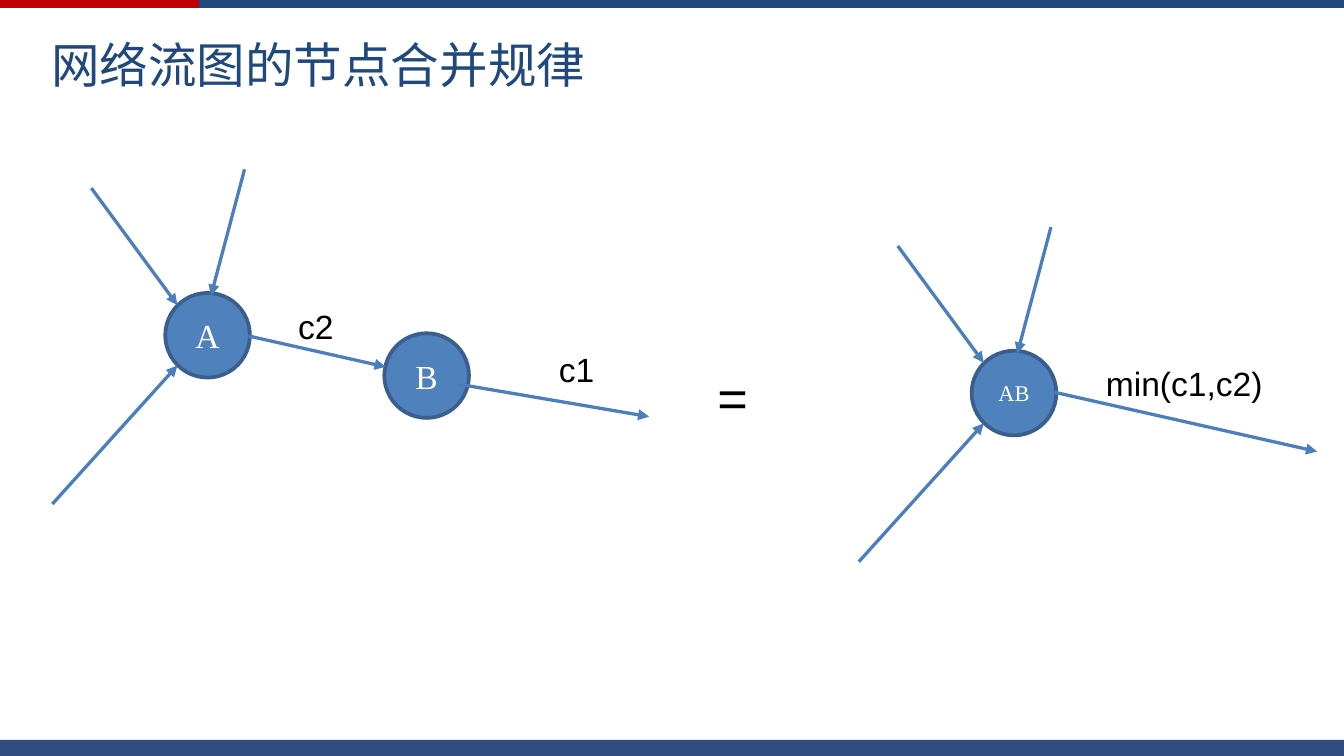
from lxml import etree
from pptx import Presentation
from pptx.dml.color import RGBColor
from pptx.enum.shapes import MSO_CONNECTOR, MSO_SHAPE
from pptx.enum.text import MSO_ANCHOR, MSO_AUTO_SIZE, PP_ALIGN
from pptx.oxml.ns import qn
from pptx.util import Inches, Pt

RED = RGBColor(0xC0, 0x00, 0x00)
TITLE_BLUE = RGBColor(0x1F, 0x49, 0x7D)
FOOTER_BLUE = RGBColor(0x00, 0x20, 0x60)
NODE_FILL = RGBColor(0x4F, 0x81, 0xBD)
NODE_LINE = RGBColor(0x3A, 0x5F, 0x8C)
ARROW_BLUE = RGBColor(0x4B, 0x7E, 0xBC)
WHITE = RGBColor(0xFF, 0xFF, 0xFF)
BLACK = RGBColor(0x00, 0x00, 0x00)

PAGE_WIDTH = 10
PAGE_HEIGHT = PAGE_WIDTH * 9 / 16
NODE_SIZE = 0.63
INCOMING = [
    ((0.59, -0.92), (0.34, 0.02)),
    ((-0.84, 1.57), (0.09, 0.54)),
    ((-0.55, -0.78), (0.09, 0.09)),
]


def set_font(para, name, size, color):
    """Give a paragraph its typeface, size and colour."""
    para.font.name = name
    para.font.size = Pt(size)
    para.font.color.rgb = color


def add_bar(page, left, top, width, height, color):
    """Draw a plain borderless bar."""
    bar = page.shapes.add_shape(
        MSO_SHAPE.RECTANGLE, Inches(left), Inches(top), Inches(width), Inches(height))
    bar.shadow.inherit = False
    bar.fill.solid()
    bar.fill.fore_color.rgb = color
    bar.line.fill.background()
    return bar


def add_frame(page, left, top, width, height):
    """Place the two-colour top band and the translucent footer band in a box."""
    band, split, base = 0.06, 1.48, 0.12
    add_bar(page, left, top, split, band, RED)
    add_bar(page, left + split, top, width - split, band, TITLE_BLUE)
    footer = add_bar(page, left, top + height - base, width, base, FOOTER_BLUE)
    color = footer._element.spPr.find(qn("a:solidFill"))[0]
    etree.SubElement(color, qn("a:alpha"), val="80000")


def add_title(page, left, top, width, height, text):
    """Fill and format the title placeholder."""
    title = page.shapes.title
    title.left, title.top = Inches(left), Inches(top)
    title.width, title.height = Inches(width), Inches(height)
    frame = title.text_frame
    frame.text = text
    frame.auto_size = MSO_AUTO_SIZE.NONE
    frame.vertical_anchor = MSO_ANCHOR.TOP
    para = frame.paragraphs[0]
    para.alignment = PP_ALIGN.LEFT
    set_font(para, "Noto Sans CJK SC", 26, TITLE_BLUE)
    etree.SubElement(para.font._element, qn("a:ea"), typeface="Noto Sans CJK SC")


def add_node(page, left, top, text, size=18):
    """Draw a labelled circular node."""
    node = page.shapes.add_shape(
        MSO_SHAPE.OVAL, Inches(left), Inches(top), Inches(NODE_SIZE), Inches(NODE_SIZE))
    node.shadow.inherit = False
    node.fill.solid()
    node.fill.fore_color.rgb = NODE_FILL
    node.line.color.rgb = NODE_LINE
    node.line.width = Pt(2)
    frame = node.text_frame
    frame.text = text
    frame.word_wrap = False
    frame.vertical_anchor = MSO_ANCHOR.MIDDLE
    para = frame.paragraphs[0]
    para.alignment = PP_ALIGN.CENTER
    set_font(para, "Times New Roman", size, WHITE)


def add_arrow(page, left, top, start, end):
    """Draw an arrow between two points given relative to a corner."""
    arrow = page.shapes.add_connector(
        MSO_CONNECTOR.STRAIGHT,
        Inches(left + start[0]), Inches(top + start[1]),
        Inches(left + end[0]), Inches(top + end[1]))
    arrow.line.color.rgb = ARROW_BLUE
    arrow.line.width = Pt(1.75)
    etree.SubElement(arrow.line._get_or_add_ln(), qn("a:tailEnd"), type="triangle")
    etree.SubElement(arrow._element.spPr, qn("a:effectLst"))


def add_label(page, left, top, width, height, text, size=18):
    """Write a one-line label."""
    box = page.shapes.add_textbox(Inches(left), Inches(top), Inches(width), Inches(height))
    box.text_frame.word_wrap = False
    box.text_frame.text = text
    set_font(box.text_frame.paragraphs[0], "Arial", size, BLACK)


def add_entry_node(page, left, top, text, size=18):
    """Draw a node together with its three incoming arrows."""
    add_node(page, left, top, text, size)
    for start, end in INCOMING:
        add_arrow(page, left, top, start, end)


def add_split_graph(page, left, top):
    """Draw the chain A to B, placed by the corner of node A."""
    add_entry_node(page, left, top, "A")
    add_node(page, left + 1.63, top + 0.3, "B")
    add_arrow(page, left, top, (0.62, 0.32), (1.64, 0.55))
    add_arrow(page, left, top, (2.19, 0.68), (3.6, 0.92))
    add_label(page, left + 0.89, top + 0.05, 0.47, 0.4, "c2")
    add_label(page, left + 2.83, top + 0.37, 0.47, 0.4, "c1")


def add_merged_graph(page, left, top):
    """Draw the merged node AB, placed by its corner."""
    add_entry_node(page, left, top, "AB", 12)
    add_arrow(page, left, top, (0.62, 0.31), (2.57, 0.75))
    add_label(page, left + 0.9, top + 0.04, 1.38, 0.4, "min(c1,c2)")


def main():
    """Build and save the slide."""
    deck = Presentation()
    deck.slide_width, deck.slide_height = Inches(PAGE_WIDTH), Inches(PAGE_HEIGHT)
    page = deck.slides.add_slide(deck.slide_layouts[5])
    add_frame(page, 0, 0, PAGE_WIDTH, PAGE_HEIGHT)
    add_title(page, 0.28, 0.21, 9.61, 1.33, "网络流图的节点合并规律")
    add_split_graph(page, 1.23, 2.18)
    add_label(page, 5.24, 2.67, 0.43, 0.57, "=", 28)
    add_merged_graph(page, 7.23, 2.61)
    deck.save("out.pptx")


if __name__ == "__main__":
    main()
